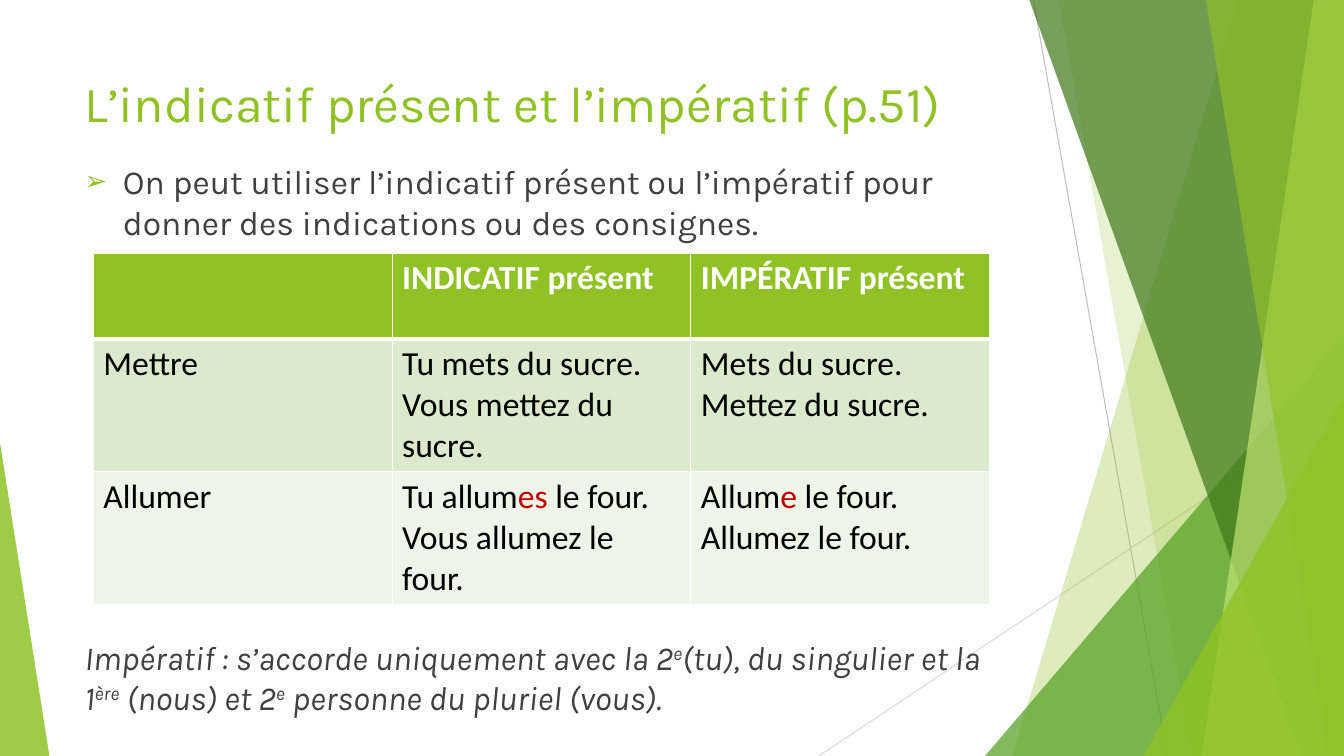
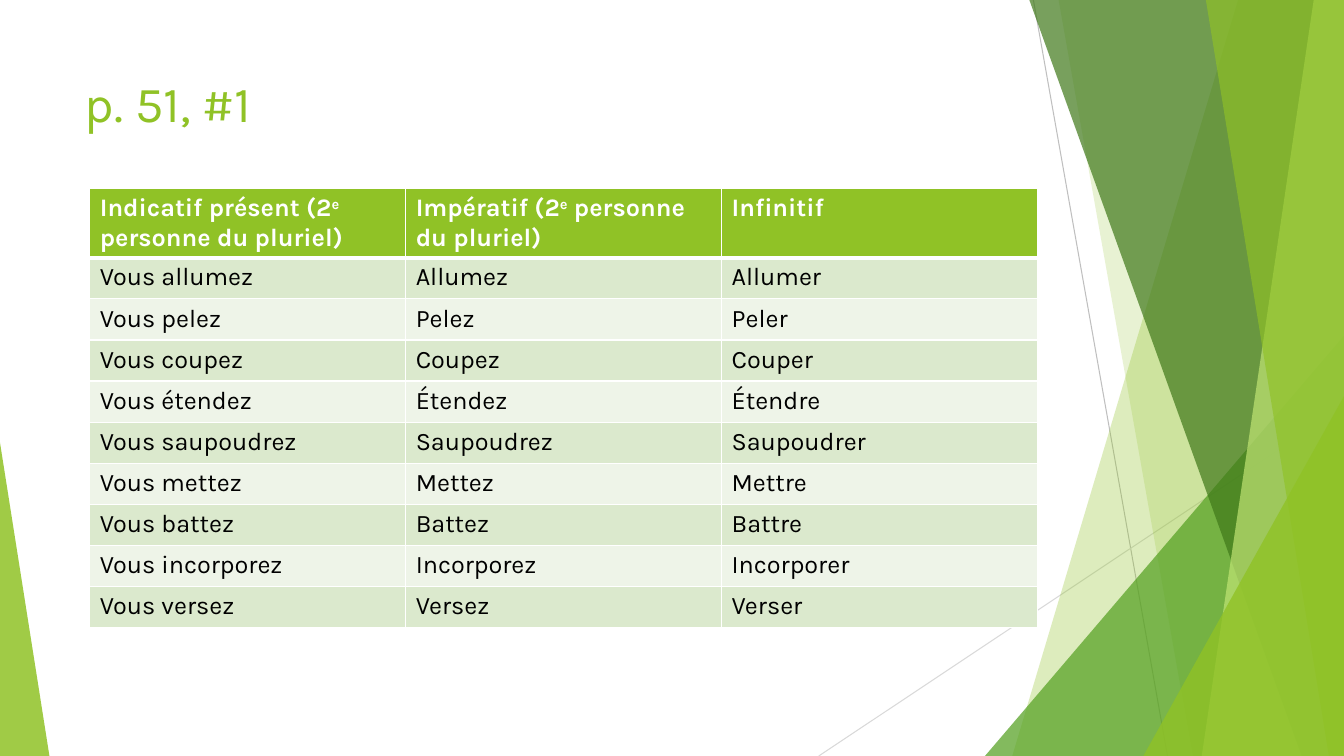
"""Build two French grammar slides with shared angular green scenery."""
from dataclasses import dataclass
from typing import NamedTuple

from lxml import etree
from pptx import Presentation
from pptx.dml.color import RGBColor
from pptx.enum.shapes import MSO_CONNECTOR, MSO_SHAPE
from pptx.enum.text import MSO_ANCHOR, MSO_AUTO_SIZE, PP_ALIGN
from pptx.oxml.ns import qn
from pptx.util import Inches, Pt

STRAIGHT = MSO_CONNECTOR.STRAIGHT
TRIANGLE = MSO_SHAPE.ISOSCELES_TRIANGLE
TOP = MSO_ANCHOR.TOP
LEFT = PP_ALIGN.LEFT
NO_FIT = MSO_AUTO_SIZE.NONE

WIDTH, HEIGHT = Inches(13.33), Inches(7.5)
TITLE_AND_BODY, TITLE_ONLY = 1, 5
FIRST_SCENERY_ID = 100

COLORS = {
    "green": "90C226", "leaf": "54A021", "forest": "3F7819", "lime": "C0E474",
    "band_dark": "DBE9CD", "band_light": "EEF4E8", "white": "FFFFFF",
    "black": "000000", "text": "404040", "red": "C00000",
    "line_dark": "BFBFBF", "line_light": "D9D9D9",
}

TITLE_FONT = {"name": "Karla", "size": Pt(36)}
BODY_FONT = {"name": "Karla", "size": Pt(24)}
NOTE_FONT = BODY_FONT | {"italic": True}


class Box(NamedTuple):
    """A frame in percent of the slide's width and height."""
    left: float
    top: float
    width: float
    height: float


class Ray(NamedTuple):
    """A thin line between two points in percent."""
    x1: float
    y1: float
    x2: float
    y2: float
    color: str


class Quad(NamedTuple):
    """A full-height facet that reaches the slide's right edge."""
    top_x: float
    bottom_x: float
    color: str
    alpha: int


class Corner(NamedTuple):
    """A triangle that stands on the slide's bottom edge."""
    left: float
    top: float
    width: float
    apex: float
    color: str
    alpha: int


@dataclass(frozen=True)
class Grid:
    """A table with its frame, row heights, font and cell texts."""
    left: float
    top: float
    width: float
    header_height: float
    row_height: float
    font: dict
    rows: list


RAYS = [
    Ray(76.89, 0, 86.87, 100, "line_dark"),
    Ray(100, 53.73, 60.92, 100, "line_light"),
]
FACETS = [
    Quad(92.12, 75.32, "green", 30),
    Quad(78.77, 88.75, "green", 20),
    Corner(73.29, 44.4, 26.71, 1, "leaf", 72),
    Quad(76.59, 96.85, "forest", 70),
    Quad(97.75, 89.42, "lime", 70),
    Quad(89.72, 98.87, "green", 65),
    Corner(85.07, 52.4, 14.93, 1, "green", 80),
    Corner(0, 58.53, 3.68, 0, "green", 85),
]

TITLE_BOX = Box(5.55, 8.93, 70.52, 19.2)
BODY_BOX = Box(5.55, 20.67, 70.52, 76.27)

RULE = ("On peut utiliser l’indicatif présent ou l’impératif pour donner "
        "des indications ou des consignes.")
NOTE = ("Impératif : s’accorde uniquement avec la 2^e^(tu), du singulier et la "
        "1^ère^ (nous) et 2^e^ personne du pluriel (vous).")

MOODS = Grid(6.95, 33.47, 66.69, 11.33, 17.33, {"name": "Calibri", "size": Pt(24)}, [
    ("", "INDICATIF présent", "IMPÉRATIF présent"),
    ("Mettre", "Tu mets du sucre.\nVous mettez du sucre.",
     "Mets du sucre.\nMettez du sucre."),
    ("Allumer", "Tu allum*es* le four.\nVous allumez le four.",
     "Allum*e* le four.\nAllumez le four."),
])

VERBS = [
    ("allumez", "Allumer"), ("pelez", "Peler"), ("coupez", "Couper"),
    ("étendez", "Étendre"), ("saupoudrez", "Saupoudrer"), ("mettez", "Mettre"),
    ("battez", "Battre"), ("incorporez", "Incorporer"), ("versez", "Verser"),
]
EXERCISE = Grid(6.68, 24.93, 70.52, 8.8, 5.44, {"name": "Karla", "size": Pt(18)}, [
    ("Indicatif présent (2^e^ personne du pluriel)",
     "Impératif (2^e^ personne du pluriel)", "Infinitif"),
    *((f"Vous {verb}", verb.capitalize(), infinitive) for verb, infinitive in VERBS),
])


def px(share: float) -> int:
    """Turn a percentage of the width into a length."""
    return round(WIDTH * share / 100)


def py(share: float) -> int:
    """Turn a percentage of the height into a length."""
    return round(HEIGHT * share / 100)


def rgb(color: str) -> RGBColor:
    """Look up a named colour."""
    return RGBColor.from_string(COLORS[color])


def add_xml(parent, tag: str, **attributes: str):
    """Append one drawing element with its attributes."""
    return etree.SubElement(parent, qn(tag), attributes)


def write(p, text: str, font: dict, color: str) -> None:
    """Fill a paragraph; ^ encloses superscripts and * encloses red endings."""
    for i, part in enumerate(text.split("^")):
        for j, piece in enumerate(part.split("*")):
            if not piece:
                continue
            r = p.add_run()
            r.text = piece
            for name, value in font.items():
                setattr(r.font, name, value)
            r.font.color.rgb = rgb("red" if j % 2 else color)
            if i % 2:
                r.font._element.set("baseline", "30000")


def draw_ray(s, ray: Ray):
    """Draw a thin line."""
    line = s.shapes.add_connector(
        STRAIGHT, px(ray.x1), py(ray.y1), px(ray.x2), py(ray.y2))
    line.line.color.rgb = rgb(ray.color)
    line.line.width = Pt(0.75)
    add_xml(line._element.spPr, "a:effectLst")
    return line


def draw_facet(s, facet: Quad | Corner):
    """Draw a translucent facet."""
    if isinstance(facet, Quad):
        outline = s.shapes.build_freeform(px(facet.top_x), 0)
        outline.add_line_segments(
            [(WIDTH, 0), (WIDTH, HEIGHT), (px(facet.bottom_x), HEIGHT)])
        shape = outline.convert_to_shape()
    else:
        shape = s.shapes.add_shape(TRIANGLE, px(facet.left), py(facet.top),
                                   px(facet.width), py(100 - facet.top))
        shape.adjustments[0] = facet.apex
    shape.shadow.inherit = False
    shape.line.fill.background()
    shape.fill.solid()
    shape.fill.fore_color.rgb = rgb(facet.color)
    tint = shape._element.spPr.find(qn("a:solidFill")).find(qn("a:srgbClr"))
    add_xml(tint, "a:alpha", val=str(facet.alpha * 1000))
    return shape


def add_scenery(prs, s) -> None:
    """Draw the scenery and move it to the slide master."""
    scenery = [draw_ray(s, ray) for ray in RAYS]
    scenery += [draw_facet(s, facet) for facet in FACETS]
    tree = prs.slide_master.shapes._spTree
    for i, shape in enumerate(scenery):
        shape._element.xpath(".//p:cNvPr")[0].set("id", str(FIRST_SCENERY_ID + i))
        tree.insert(2 + i, shape._element)


def place(holder, box: Box):
    """Move a placeholder and return its text frame."""
    holder.left, holder.top = px(box.left), py(box.top)
    holder.width, holder.height = px(box.width), py(box.height)
    tf = holder.text_frame
    settings = {"word_wrap": True, "auto_size": NO_FIT, "vertical_anchor": TOP}
    for name, value in settings.items():
        setattr(tf, name, value)
    return tf


def add_slide(prs, layout: int, title: str):
    """Add a slide with its title."""
    s = prs.slides.add_slide(prs.slide_layouts[layout])
    p = place(s.shapes.title, TITLE_BOX).paragraphs[0]
    p.alignment = LEFT
    write(p, title, TITLE_FONT, "green")
    return s


def fill_body(s) -> None:
    """Write the bulleted rule and the note below the table."""
    tf = place(s.placeholders[1], BODY_BOX)
    rule, note = tf.paragraphs[0], tf.add_paragraph()
    write(rule, RULE, BODY_FONT, "text")
    write(note, NOTE, NOTE_FONT, "text")
    for p, gap, indent in ((rule, 10, Inches(0.38)), (note, 282, 0)):
        p.space_before = Pt(gap)
        pPr = p._p.get_or_add_pPr()
        pPr.set("marL", str(indent))
        pPr.set("indent", str(-indent))
    pPr = rule._p.pPr
    add_xml(add_xml(pPr, "a:buClr"), "a:srgbClr", val=COLORS["green"])
    add_xml(pPr, "a:buSzPct", val="80000")
    add_xml(pPr, "a:buFont", typeface="Arial")
    add_xml(pPr, "a:buChar", char="➢")
    add_xml(note._p.pPr, "a:buNone")


def set_borders(cell, row: int) -> None:
    """Give a cell white borders, thick between header and body."""
    widths = {"L": 1, "R": 1, "T": 3 if row == 1 else 1, "B": 1 if row else 3}
    tcPr = cell._tc.get_or_add_tcPr()
    for side, width in widths.items():
        border = add_xml(tcPr, f"a:ln{side}", w=str(Pt(width)))
        add_xml(add_xml(border, "a:solidFill"), "a:srgbClr", val=COLORS["white"])


def add_grid(s, grid: Grid) -> None:
    """Add a banded table with a green header."""
    columns, body_rows = len(grid.rows[0]), len(grid.rows) - 1
    height = grid.header_height + body_rows * grid.row_height
    table = s.shapes.add_table(len(grid.rows), columns, px(grid.left), py(grid.top),
                               px(grid.width), py(height)).table
    table.horz_banding = False
    for i, texts in enumerate(grid.rows):
        table.rows[i].height = py(grid.row_height if i else grid.header_height)
        band = ("band_dark" if i % 2 else "band_light") if i else "green"
        font = grid.font | {"bold": i == 0}
        for j, text in enumerate(texts):
            cell = table.cell(i, j)
            set_borders(cell, i)
            cell.fill.solid()
            cell.fill.fore_color.rgb = rgb(band)
            tf = cell.text_frame
            for k, line in enumerate(text.split("\n")):
                p = tf.add_paragraph() if k else tf.paragraphs[0]
                write(p, line, font, "black" if i else "white")


def main() -> None:
    """Build and save the presentation."""
    prs = Presentation()
    prs.slide_width, prs.slide_height = WIDTH, HEIGHT
    s = add_slide(prs, TITLE_AND_BODY, "L’indicatif présent et l’impératif (p.51)")
    add_scenery(prs, s)
    fill_body(s)
    add_grid(s, MOODS)
    s = add_slide(prs, TITLE_ONLY, "p. 51, #1")
    add_grid(s, EXERCISE)
    prs.save("out.pptx")


if __name__ == "__main__":
    main()
